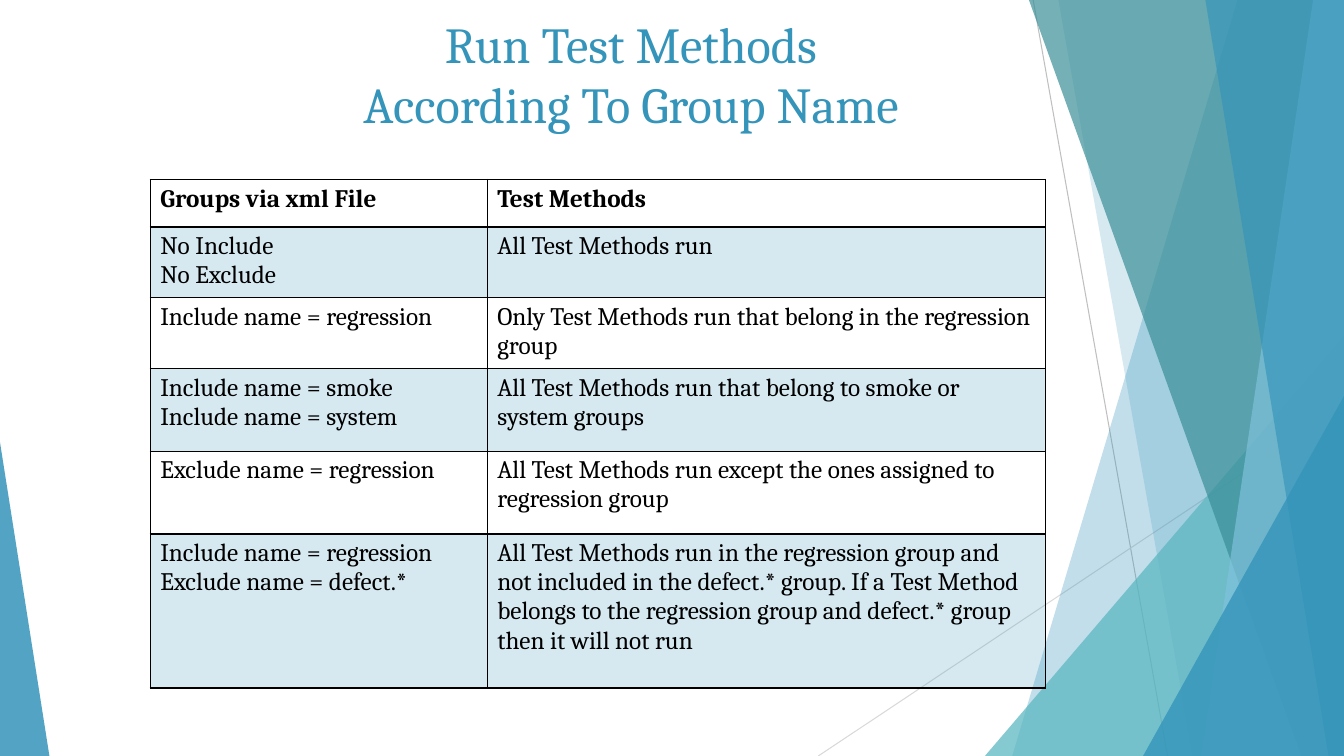
from dataclasses import dataclass
from typing import Any

import lxml.etree
import pptx
import pptx.dml.color
import pptx.enum.shapes
import pptx.enum.text
import pptx.oxml.ns
import pptx.util

Pt = pptx.util.Pt
qn = pptx.oxml.ns.qn


@dataclass(frozen=True)
class Theme:
    font: str = "Cambria"
    title_size: float = 36
    table_size: float = 18
    blue: str = "3494BA"
    teal: str = "58B6C0"
    dark_teal: str = "3A8F98"
    light_blue: str = "7FC1DB"
    black: str = "000000"
    gray: str = "BFBFBF"
    light_gray: str = "D9D9D9"


@dataclass(frozen=True)
class Ray:
    start: tuple[float, float]
    end: tuple[float, float]
    color: str


@dataclass(frozen=True)
class Facet:
    """Band reaching the right slide edge; its left side is slanted."""
    top_x: float
    bottom_x: float
    color: str
    opacity: int


@dataclass(frozen=True)
class Corner:
    """Triangle standing on the bottom edge of the slide."""
    left: float
    top: float
    width: float
    apex: float
    color: str
    opacity: int


@dataclass(frozen=True)
class TableRow:
    height: float
    groups: str
    methods: str


THEME = Theme()
WIDTH, HEIGHT = 960, 540

RAYS = [
    Ray((738, 0), (834, HEIGHT), THEME.gray),
    Ray((WIDTH, 290), (584.5, HEIGHT), THEME.light_gray),
]
# Back to front
DECORATION = [
    Facet(884, 723, THEME.blue, 30),
    Facet(756, 852, THEME.blue, 20),
    Corner(703.5, 240, 256.5, 1, THEME.teal, 72),
    Facet(735, 929.5, THEME.dark_teal, 70),
    Facet(938, 858, THEME.light_blue, 70),
    Facet(861, 949, THEME.blue, 65),
    Corner(816.5, 283, 143.5, 1, THEME.blue, 80),
    Corner(0, 316, 35.3, 0, THEME.blue, 85),
]
TITLE = "Run Test Methods\nAccording To Group Name"
COLUMN_WIDTHS = (240.8, 399)
ROWS = [
    TableRow(34, "Groups via xml File", "Test Methods"),
    TableRow(34, "No Include\nNo Exclude", "All Test Methods run"),
    TableRow(34, "Include name = regression",
             "Only Test Methods run that belong in the regression group"),
    TableRow(59.2, "Include name = smoke\nInclude name = system",
             "All Test Methods run that belong to smoke or system groups"),
    TableRow(59.2, "Exclude name = regression",
             "All Test Methods run except the ones assigned to regression group"),
    TableRow(110, "Include name = regression\nExclude name = defect.*",
             "All Test Methods run in the regression group and not included in the "
             "defect.* group. If a Test Method belongs to the regression group and "
             "defect.* group then it will not run"),
]


def rgb(color: str) -> pptx.dml.color.RGBColor:
    return pptx.dml.color.RGBColor.from_string(color)


def fill_solid(fill: Any, properties: Any, color: str, opacity: int) -> None:
    fill.solid()
    fill.fore_color.rgb = rgb(color)
    solid = properties.find(qn("a:solidFill"))
    lxml.etree.SubElement(solid[0], qn("a:alpha"), val=str(opacity * 1000))


def write_text(text_frame: Any, text: str, *, size: float, color: str,
               bold: bool = False,
               align: Any = pptx.enum.text.PP_ALIGN.LEFT) -> None:
    text_frame.word_wrap = True
    text_frame.text = text
    for paragraph in text_frame.paragraphs:
        paragraph.alignment = align
        for run in paragraph.runs:
            run.font.name = THEME.font
            run.font.size = Pt(size)
            run.font.bold = bold
            run.font.color.rgb = rgb(color)


def draw_ray(slide: Any, ray: Ray) -> None:
    connector = slide.shapes.add_connector(
        pptx.enum.shapes.MSO_CONNECTOR.STRAIGHT,
        *(Pt(value) for value in ray.start + ray.end))
    connector.line.color.rgb = rgb(ray.color)
    connector.line.width = Pt(0.75)
    lxml.etree.SubElement(connector._element.spPr, qn("a:effectLst"))


def draw_decoration(slide: Any, part: Facet | Corner) -> None:
    if isinstance(part, Facet):
        builder = slide.shapes.build_freeform(Pt(part.top_x), 0, scale=1.0)
        builder.add_line_segments(
            [(Pt(x), Pt(y)) for x, y in
             ((WIDTH, 0), (WIDTH, HEIGHT), (part.bottom_x, HEIGHT))], close=True)
        shape = builder.convert_to_shape()
    else:
        shape = slide.shapes.add_shape(
            pptx.enum.shapes.MSO_SHAPE.ISOSCELES_TRIANGLE, Pt(part.left),
            Pt(part.top), Pt(part.width), Pt(HEIGHT - part.top))
        shape.adjustments[0] = part.apex
    shape.shadow.inherit = False
    shape.line.fill.background()
    fill_solid(shape.fill, shape._element.spPr, part.color, part.opacity)


def add_borders(cell: Any) -> None:
    properties = cell._tc.get_or_add_tcPr()
    for side in ("lnL", "lnR", "lnT", "lnB"):
        line = lxml.etree.SubElement(properties, qn(f"a:{side}"), w=str(Pt(1)))
        solid = lxml.etree.SubElement(line, qn("a:solidFill"))
        lxml.etree.SubElement(solid, qn("a:srgbClr"), val=THEME.black)


def draw_table(slide: Any) -> None:
    table = slide.shapes.add_table(
        len(ROWS), len(COLUMN_WIDTHS), Pt(107.3), Pt(128.2),
        Pt(sum(COLUMN_WIDTHS)), Pt(sum(row.height for row in ROWS))).table
    table.first_row = table.horz_banding = False
    for column, width in zip(table.columns, COLUMN_WIDTHS):
        column.width = Pt(width)
    for index, row in enumerate(ROWS):
        table.rows[index].height = Pt(row.height)
        for cell, text in zip(table.rows[index].cells, (row.groups, row.methods)):
            add_borders(cell)
            if index % 2:
                fill_solid(cell.fill, cell._tc.tcPr, THEME.blue, 20)
            else:
                cell.fill.background()
            write_text(cell.text_frame, text, size=THEME.table_size,
                       color=THEME.black, bold=index == 0)


def main() -> None:
    presentation = pptx.Presentation()
    presentation.slide_width, presentation.slide_height = Pt(WIDTH), Pt(HEIGHT)
    slide = presentation.slides.add_slide(presentation.slide_layouts[6])

    # Background decoration
    for ray in RAYS:
        draw_ray(slide, ray)
    for part in DECORATION:
        draw_decoration(slide, part)

    # Title
    title = slide.shapes.add_textbox(0, Pt(5.8), Pt(901.4), Pt(81.4))
    write_text(title.text_frame, TITLE, size=THEME.title_size, color=THEME.blue,
               align=pptx.enum.text.PP_ALIGN.CENTER)

    # Group rules
    draw_table(slide)
    presentation.save("out.pptx")


if __name__ == "__main__":
    main()
